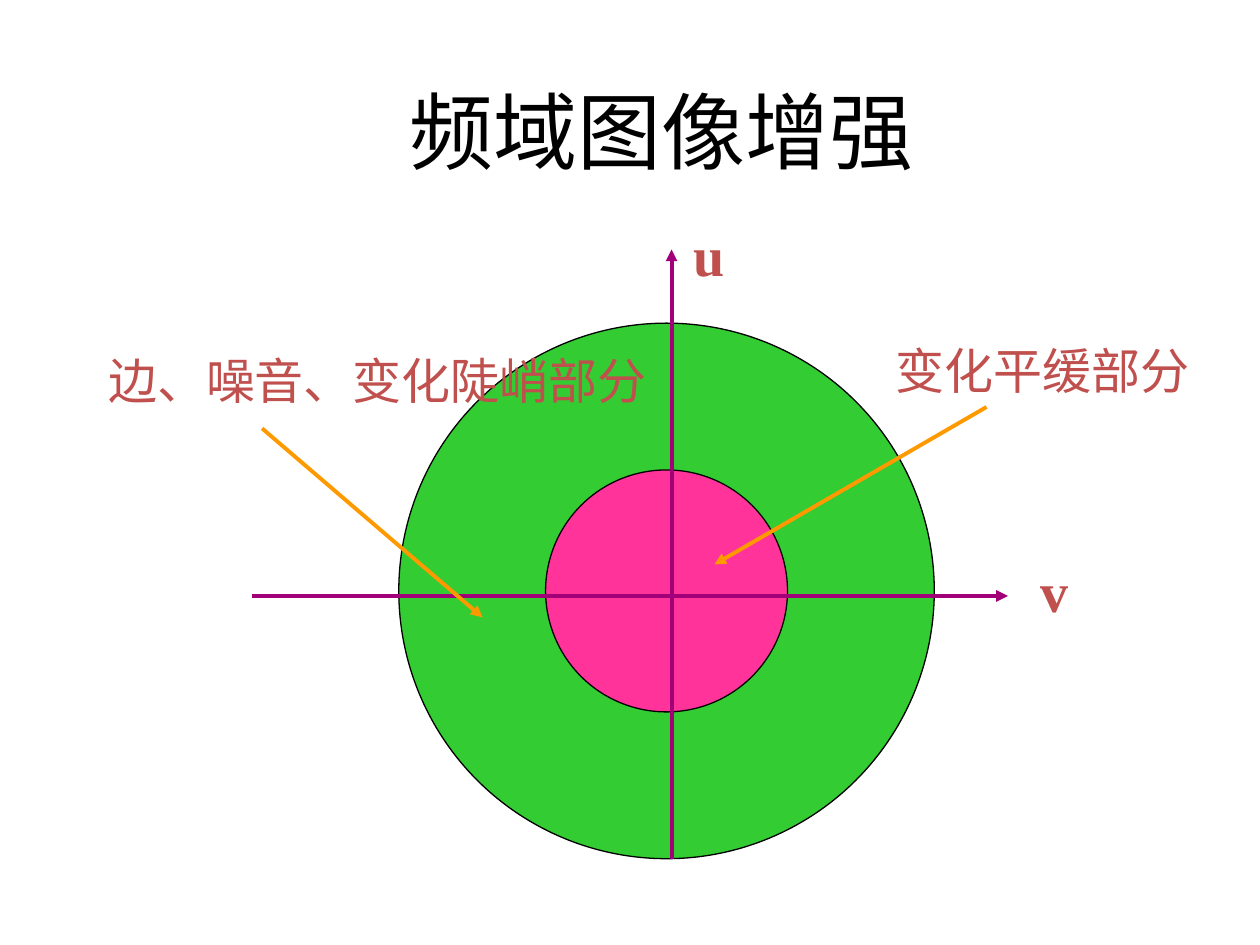
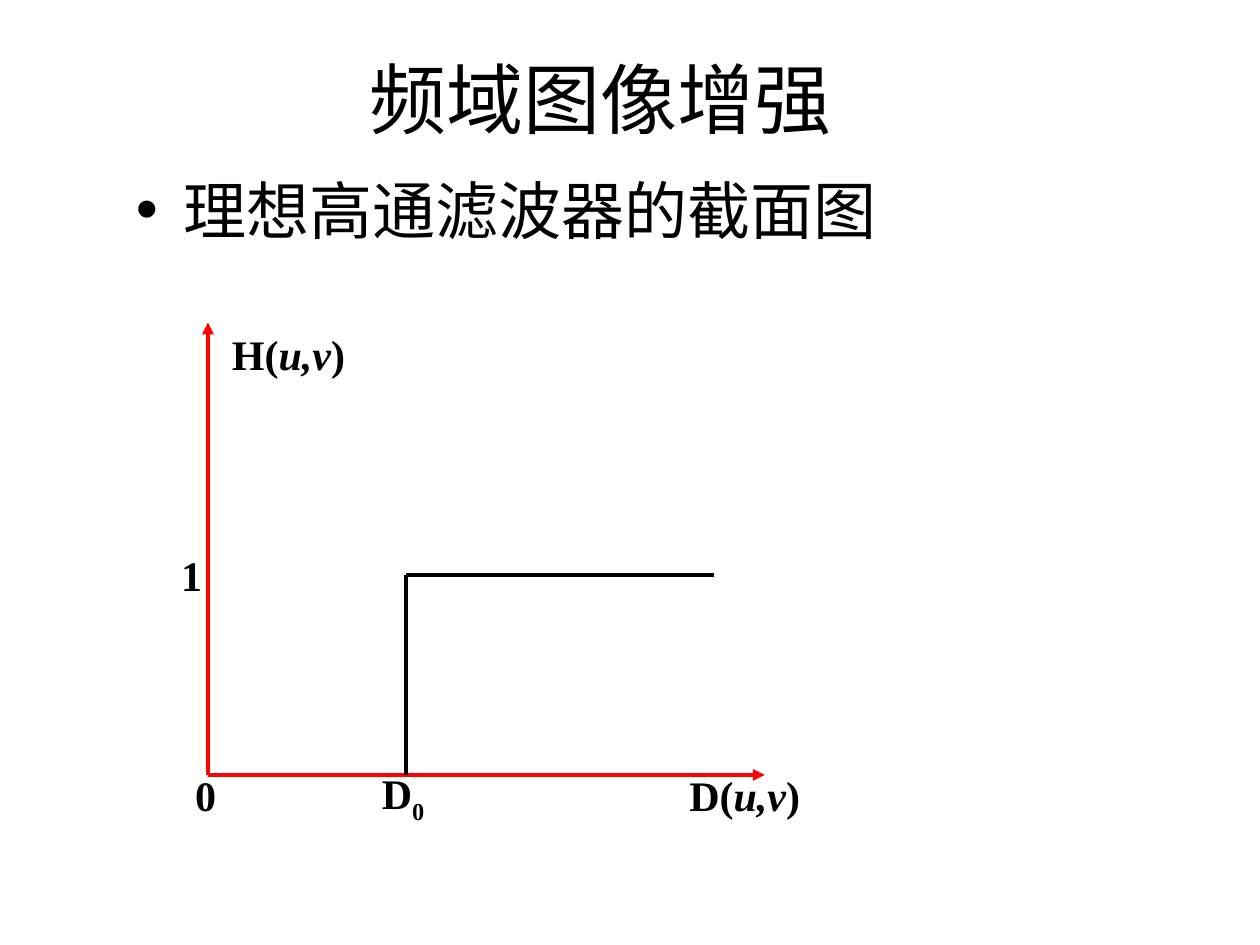
from dataclasses import dataclass

from lxml import etree
from pptx import Presentation
from pptx import util as u
from pptx.dml.color import RGBColor
from pptx.enum import shapes, text
from pptx.oxml import ns

BLACK = RGBColor(0x00, 0x00, 0x00)
RED = RGBColor(0xFF, 0x00, 0x00)
GREEN = RGBColor(0x33, 0xCC, 0x33)
PINK = RGBColor(0xFF, 0x33, 0x99)
PURPLE = RGBColor(0xA2, 0x00, 0x78)
ORANGE = RGBColor(0xFF, 0x99, 0x00)
BRICK = RGBColor(0xC0, 0x50, 0x4D)

HEADING_FONT = "Calibri"
LABEL_FONT = "Times New Roman"
TITLE = "频域图像增强"


@dataclass(frozen=True)
class Piece:
    text: str
    italic: bool = False
    subscript: bool = False


@dataclass(frozen=True)
class Label:
    pieces: tuple[Piece, ...]
    box: tuple[float, float, float, float]
    size: int = 24
    color: RGBColor = BLACK
    bold: bool = True
    font: str = LABEL_FONT
    wrap: bool = False
    align: text.PP_ALIGN = text.PP_ALIGN.CENTER
    anchor: text.MSO_ANCHOR = text.MSO_ANCHOR.MIDDLE


@dataclass(frozen=True)
class Segment:
    start: tuple[float, float]
    end: tuple[float, float]
    color: RGBColor
    arrow: bool = True


@dataclass(frozen=True)
class Disc:
    center: tuple[float, float]
    diameter: float
    color: RGBColor


def plain(words: str) -> tuple[Piece, ...]:
    return (Piece(words),)


def function_of_uv(name: str) -> tuple[Piece, ...]:
    return Piece(f"{name}("), Piece("u,v", italic=True), Piece(")")


def add_label(slide, label: Label):
    """Add a text box and return its only paragraph."""
    frame = slide.shapes.add_textbox(*map(u.Inches, label.box)).text_frame
    frame.word_wrap = label.wrap
    frame.vertical_anchor = label.anchor
    paragraph = frame.paragraphs[0]
    paragraph.alignment = label.align
    for piece in label.pieces:
        run = paragraph.add_run()
        run.text = piece.text
        run.font.color.rgb = label.color
        font_format = {"name": label.font, "size": u.Pt(label.size),
                       "bold": label.bold, "italic": piece.italic}
        for attribute, value in font_format.items():
            setattr(run.font, attribute, value)
        if piece.subscript:
            run._r.get_or_add_rPr().set("baseline", "-25000")
    return paragraph


def add_title(slide, box: tuple[float, float, float, float], size: int) -> None:
    add_label(slide, Label(plain(TITLE), box, size, bold=False,
                           font=HEADING_FONT, wrap=True))


def add_bullet(slide, label: Label) -> None:
    properties = add_label(slide, label)._p.get_or_add_pPr()
    indent = u.Inches(0.38)
    properties.set("marL", str(indent))
    properties.set("indent", str(-indent))
    etree.SubElement(properties, ns.qn("a:buFont"), typeface="Arial")
    etree.SubElement(properties, ns.qn("a:buChar"), char="•")


def add_segment(slide, segment: Segment) -> None:
    ends = map(u.Inches, segment.start + segment.end)
    connector = slide.shapes.add_connector(shapes.MSO_CONNECTOR.STRAIGHT, *ends)
    connector.line.color.rgb = segment.color
    connector.line.width = u.Pt(2.25)
    if segment.arrow:
        etree.SubElement(connector.line._get_or_add_ln(),
                         ns.qn("a:tailEnd"), type="triangle")
    etree.SubElement(connector._element.spPr, ns.qn("a:effectLst"))


def add_disc(slide, disc: Disc) -> None:
    left, top = (middle - disc.diameter / 2 for middle in disc.center)
    box = map(u.Inches, (left, top, disc.diameter, disc.diameter))
    shape = slide.shapes.add_shape(shapes.MSO_SHAPE.OVAL, *box)
    shape.shadow.inherit = False
    shape.fill.solid()
    shape.fill.fore_color.rgb = disc.color
    shape.line.color.rgb = BLACK
    shape.line.width = u.Pt(0.75)


def build_spectrum_slide(slide) -> None:
    add_title(slide, (0.5, 0.68, 9.5, 0.7), 48)
    center = (5.29, 4.69)
    for disc in (Disc(center, 4.25, GREEN), Disc(center, 1.92, PINK)):
        add_disc(slide, disc)
    for segment in (
        Segment((2, 4.73), (8, 4.73), PURPLE),
        Segment((5.33, 6.82), (5.33, 1.98), PURPLE),
    ):
        add_segment(slide, segment)
    for label in (
        Label(plain("边、噪音、变化陡峭部分"), (0.76, 2.73, 4.47, 0.57), 28, BRICK, False),
        Label(plain("变化平缓部分"), (7.01, 2.65, 2.53, 0.57), 28, BRICK, False),
        Label(plain("u"), (5.4, 1.7, 0.45, 0.64), 32, BRICK),
        Label(plain("v"), (8.16, 4.36, 0.42, 0.64), 32, BRICK),
    ):
        add_label(slide, label)
    for pointer in (
        Segment((2.08, 3.4), (3.83, 4.9), ORANGE),
        Segment((7.83, 3.23), (5.67, 4.48), ORANGE),
    ):
        add_segment(slide, pointer)


def build_filter_slide(slide) -> None:
    add_title(slide, (0.27, 0.21, 9, 1.13), 44)
    add_bullet(slide, Label(
        plain("理想高通滤波器的截面图"), (0.98, 1.31, 8.29, 0.83), 36, bold=False,
        font=HEADING_FONT, wrap=True, align=text.PP_ALIGN.LEFT,
        anchor=text.MSO_ANCHOR.TOP))
    origin = (1.65, 6.15)
    step_corner = (3.22, 4.56)
    for segment in (
        Segment(origin, (6.07, origin[1]), RED),
        Segment(origin, (origin[0], 2.56), RED),
        Segment((5.67, step_corner[1]), step_corner, BLACK, arrow=False),
        Segment(step_corner, (step_corner[0], origin[1]), BLACK, arrow=False),
    ):
        add_segment(slide, segment)
    for label in (
        Label(plain("0"), (1.45, 6.06, 0.36, 0.5)),
        Label((Piece("D"), Piece("0", subscript=True)), (2.93, 6.04, 0.54, 0.56)),
        Label(function_of_uv("D"), (5.37, 6.06, 1.08, 0.5)),
        Label(function_of_uv("H"), (1.74, 2.56, 1.1, 0.5)),
        Label(plain("1"), (1.34, 4.31, 0.36, 0.5)),
    ):
        add_label(slide, label)


def main() -> None:
    presentation = Presentation()
    presentation.slide_width = u.Inches(10)
    presentation.slide_height = u.Inches(7.5)
    blank_layout = presentation.slide_layouts[6]
    for build in (build_spectrum_slide, build_filter_slide):
        build(presentation.slides.add_slide(blank_layout))
    presentation.save("out.pptx")


if __name__ == "__main__":
    main()
